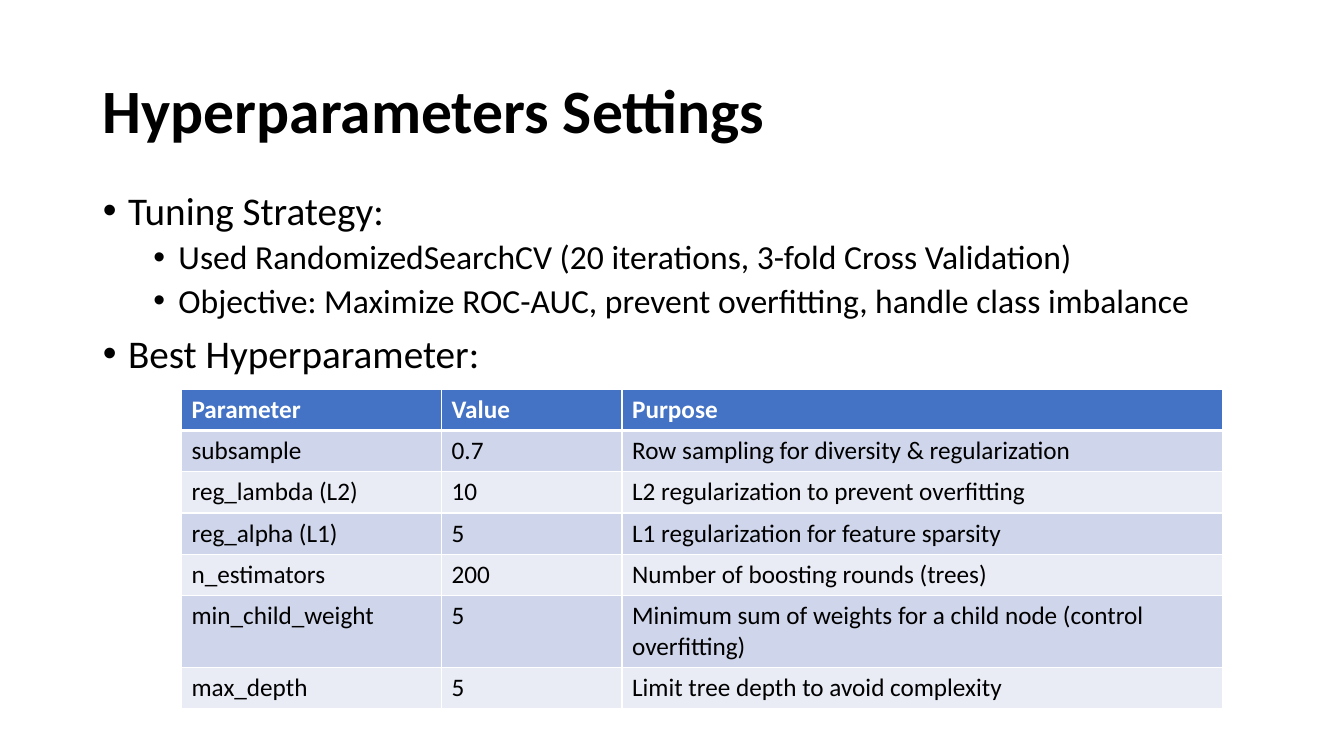
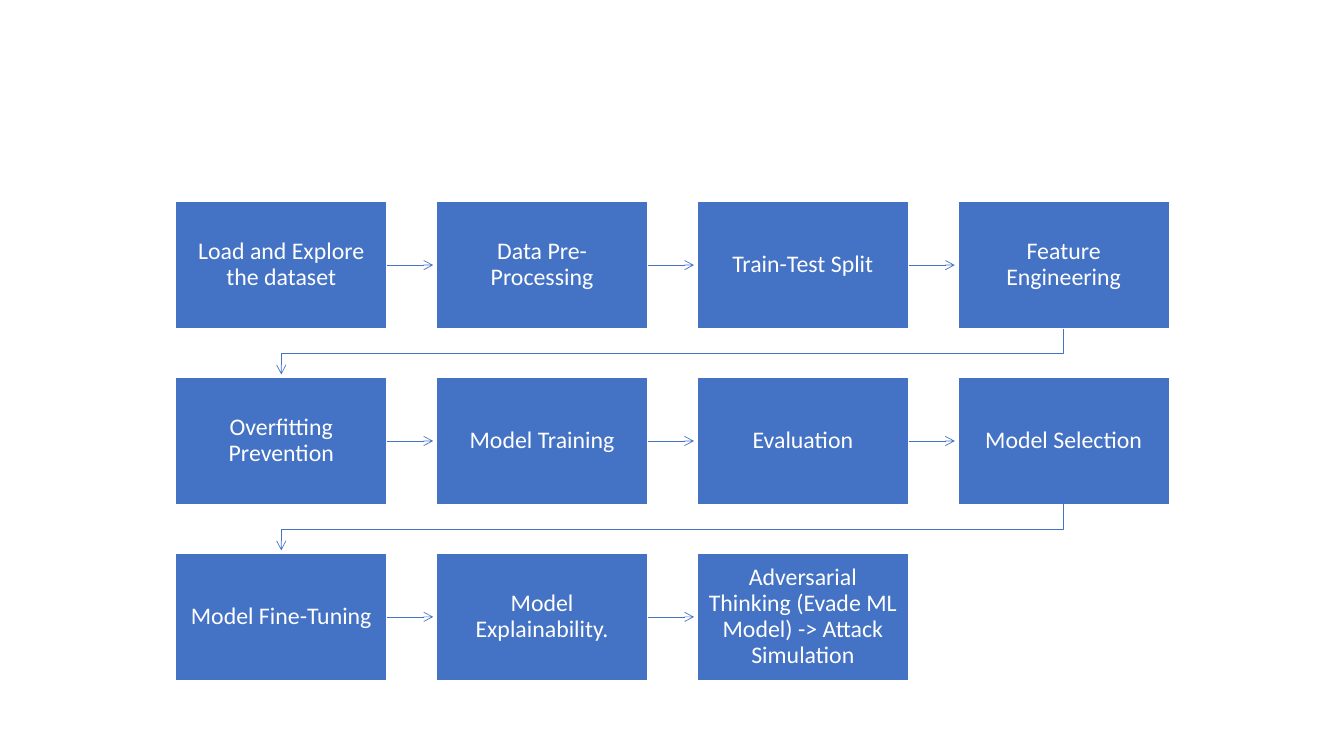
from lxml import etree
from pptx import Presentation
from pptx.dml.color import RGBColor
from pptx.enum.shapes import MSO_CONNECTOR, MSO_SHAPE
from pptx.enum.text import MSO_ANCHOR, MSO_AUTO_SIZE, PP_ALIGN
from pptx.oxml.ns import qn
from pptx.util import Inches, Pt

BLUE = RGBColor(0x44, 0x72, 0xC4)
BAND_DARK = RGBColor(0xCF, 0xD5, 0xEA)
BAND_LIGHT = RGBColor(0xE9, 0xEB, 0xF5)
WHITE = RGBColor(0xFF, 0xFF, 0xFF)
BLACK = RGBColor(0x00, 0x00, 0x00)
FONT = "Calibri"

TITLE = "Hyperparameters Settings"
BULLETS = [
    (0, "Tuning Strategy:"),
    (1, "Used RandomizedSearchCV (20 iterations, 3-fold Cross Validation)"),
    (1, "Objective: Maximize ROC-AUC, prevent overfitting, handle class imbalance"),
    (0, "Best Hyperparameter:"),
]
# Per level: text size, space before (points), left indent (inches)
LEVELS = [(28, 10, 0.25), (24, 5, 0.75)]
PARAMETERS = [
    ("Parameter", "Value", "Purpose"),
    ("subsample", "0.7", "Row sampling for diversity & regularization"),
    ("reg_lambda (L2)", "10", "L2 regularization to prevent overfitting"),
    ("reg_alpha (L1)", "5", "L1 regularization for feature sparsity"),
    ("n_estimators", "200", "Number of boosting rounds (trees)"),
    ("min_child_weight", "5",
     "Minimum sum of weights for a child node (control overfitting)"),
    ("max_depth", "5", "Limit tree depth to avoid complexity"),
]
COLUMN_WIDTHS = [2.58, 1.79, 5.96]
ROW_HEIGHT = 0.41

STEPS = [
    "Load and Explore the dataset", "Data Pre-Processing",
    "Train-Test Split", "Feature Engineering",
    "Overfitting Prevention", "Model Training",
    "Evaluation", "Model Selection",
    "Model Fine-Tuning", "Model Explainability.",
    "Adversarial Thinking (Evade ML Model) -> Attack Simulation",
]
STEPS_PER_ROW = 4
FLOW_LEFT, FLOW_TOP = Inches(1.74), Inches(2)
STEP_WIDTH, STEP_HEIGHT = Inches(2.1), Inches(1.26)
PITCH_X, PITCH_Y = Inches(7.76) // 3, Inches(3.49) // 2
ARROW_CLEARANCE = Inches(0.03)


def style_text(para, size, color, bold=False):
    for span in para.runs:
        span.font.name = FONT
        span.font.size = Pt(size)
        span.font.bold = bold
        span.font.color.rgb = color


def move(shape, left, top, width, height):
    shape.left, shape.top = Inches(left), Inches(top)
    shape.width, shape.height = Inches(width), Inches(height)


def add_bullet(para, indent):
    """Give a paragraph a round bullet with a hanging indent."""
    properties = para._p.get_or_add_pPr()
    properties.set("marL", str(Inches(indent)))
    properties.set("indent", str(-Inches(0.25)))
    etree.SubElement(properties, qn("a:buChar"), char="•")


def add_borders(cell, top, bottom):
    """Draw white cell borders; top and bottom widths are in points."""
    properties = cell._tc.get_or_add_tcPr()
    for side, width in (("L", 1), ("R", 1), ("T", top), ("B", bottom)):
        line = etree.SubElement(properties, qn(f"a:ln{side}"), w=str(Pt(width)))
        fill = etree.SubElement(line, qn("a:solidFill"))
        etree.SubElement(fill, qn("a:srgbClr"), val=str(WHITE))


def add_parameter_table(page):
    frame = page.shapes.add_table(
        len(PARAMETERS), len(COLUMN_WIDTHS), Inches(1.8), Inches(3.86),
        Inches(sum(COLUMN_WIDTHS)), Inches(ROW_HEIGHT * len(PARAMETERS)))
    table = frame.table
    for column, width in zip(table.columns, COLUMN_WIDTHS):
        column.width = Inches(width)
    for row_index, values in enumerate(PARAMETERS):
        table.rows[row_index].height = Inches(ROW_HEIGHT)
        header = row_index == 0
        band = BAND_DARK if row_index % 2 else BAND_LIGHT
        for column_index, value in enumerate(values):
            cell = table.cell(row_index, column_index)
            add_borders(cell, 3 if row_index == 1 else 1, 3 if header else 1)
            cell.fill.solid()
            cell.fill.fore_color.rgb = BLUE if header else band
            cell.text_frame.text = value
            style_text(cell.text_frame.paragraphs[0], 18,
                       WHITE if header else BLACK, header)


def build_settings_slide(deck):
    page = deck.slides.add_slide(deck.slide_layouts[1])
    title, body = page.placeholders
    move(title, 0.92, 0.4, 11.5, 1.45)
    title.text_frame.text = TITLE
    title.text_frame.vertical_anchor = MSO_ANCHOR.MIDDLE
    title.text_frame.auto_size = MSO_AUTO_SIZE.NONE
    heading = title.text_frame.paragraphs[0]
    heading.alignment = PP_ALIGN.LEFT
    heading.line_spacing = 0.9
    style_text(heading, 44, BLACK, True)

    move(body, 0.92, 1.85, 11.5, 4.91)
    body.text_frame.text = "\n".join(text for _, text in BULLETS)
    body.text_frame.auto_size = MSO_AUTO_SIZE.NONE
    for para, (level, _) in zip(body.text_frame.paragraphs, BULLETS):
        size, space_before, indent = LEVELS[level]
        para.level = level
        para.line_spacing = 0.9
        para.space_before = Pt(space_before)
        add_bullet(para, indent)
        style_text(para, size, BLACK)
    add_parameter_table(page)


def add_step(page, index, text):
    row, column = divmod(index, STEPS_PER_ROW)
    box = page.shapes.add_shape(
        MSO_SHAPE.RECTANGLE, FLOW_LEFT + column * PITCH_X,
        FLOW_TOP + row * PITCH_Y, STEP_WIDTH, STEP_HEIGHT)
    box.shadow.inherit = False
    box.fill.solid()
    box.fill.fore_color.rgb = BLUE
    box.line.color.rgb = WHITE
    box.line.width = Pt(1)
    frame = box.text_frame
    frame.text = text
    frame.word_wrap = True
    frame.vertical_anchor = MSO_ANCHOR.MIDDLE
    frame.margin_left = frame.margin_right = Inches(0.1)
    frame.margin_top = frame.margin_bottom = Inches(0.11)
    para = frame.paragraphs[0]
    para.alignment = PP_ALIGN.CENTER
    para.line_spacing = 0.9
    style_text(para, 17, WHITE)
    return box


def style_arrow(arrow):
    arrow.line.color.rgb = BLUE
    arrow.line.width = Pt(0.5)
    properties = arrow.element.spPr
    etree.SubElement(properties.find(qn("a:ln")), qn("a:tailEnd"), type="arrow")
    etree.SubElement(properties, qn("a:effectLst"))


def add_arrow_across(page, source, target):
    middle = source.top + source.height // 2
    arrow = page.shapes.add_connector(
        MSO_CONNECTOR.STRAIGHT, source.left + source.width, middle,
        target.left - ARROW_CLEARANCE, middle)
    arrow.begin_connect(source, 3)
    style_arrow(arrow)


def add_arrow_to_next_row(page, source, target):
    start_x = source.left + source.width // 2
    end_x = target.left + target.width // 2
    bottom = source.top + source.height
    turn = (bottom + target.top) // 2
    outline = page.shapes.build_freeform(start_x, bottom)
    outline.add_line_segments(
        [(start_x, turn), (end_x, turn), (end_x, target.top - ARROW_CLEARANCE)],
        close=False)
    arrow = outline.convert_to_shape()
    arrow.fill.background()
    style_arrow(arrow)


def build_workflow_slide(deck):
    page = deck.slides.add_slide(deck.slide_layouts[6])
    boxes = [add_step(page, index, text) for index, text in enumerate(STEPS)]
    for source, target in zip(boxes, boxes[1:]):
        same_row = source.top == target.top
        connect = add_arrow_across if same_row else add_arrow_to_next_row
        connect(page, source, target)


def main():
    deck = Presentation()
    deck.slide_width, deck.slide_height = Inches(13.33), Inches(7.5)
    build_settings_slide(deck)
    build_workflow_slide(deck)
    deck.save("out.pptx")


if __name__ == "__main__":
    main()
